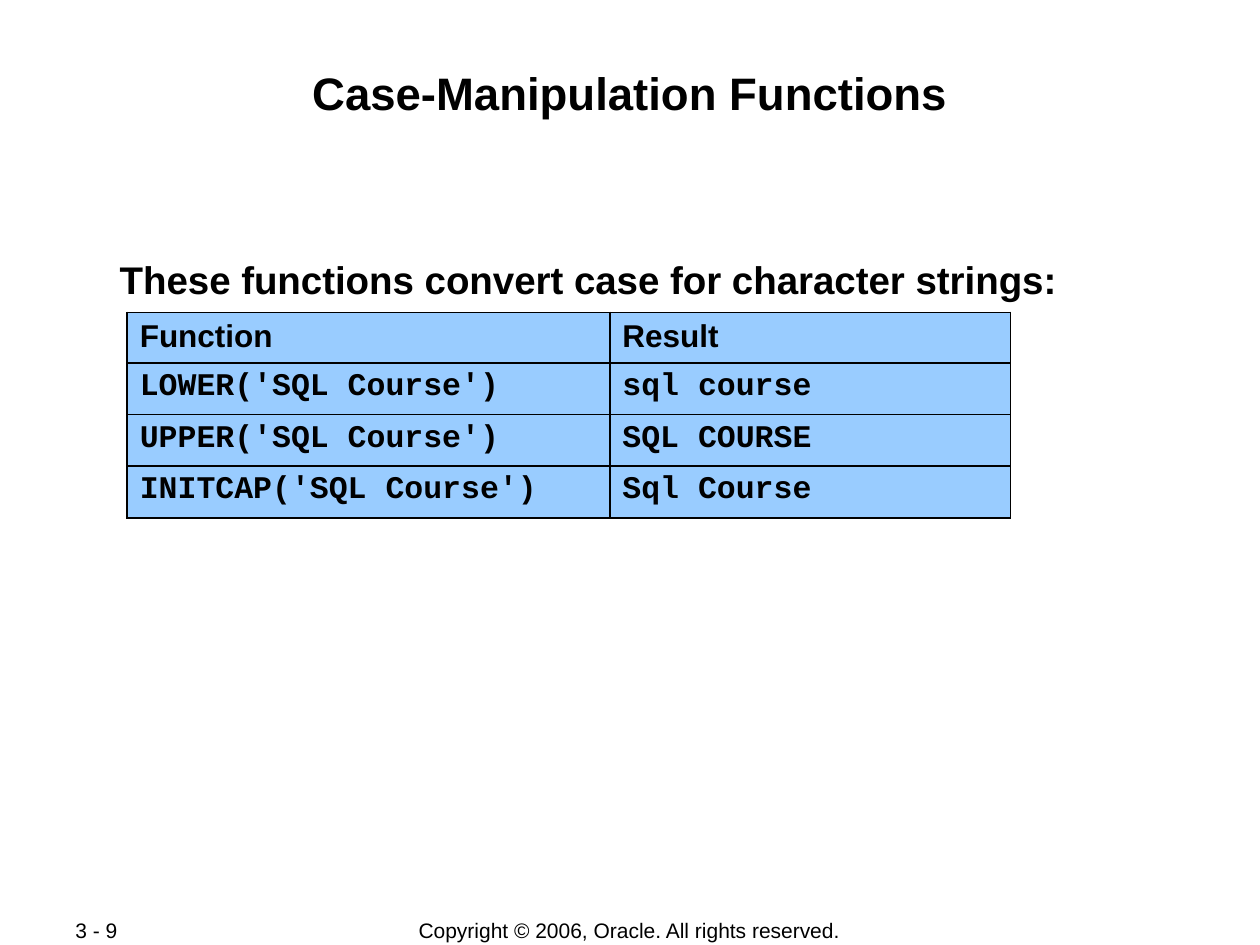
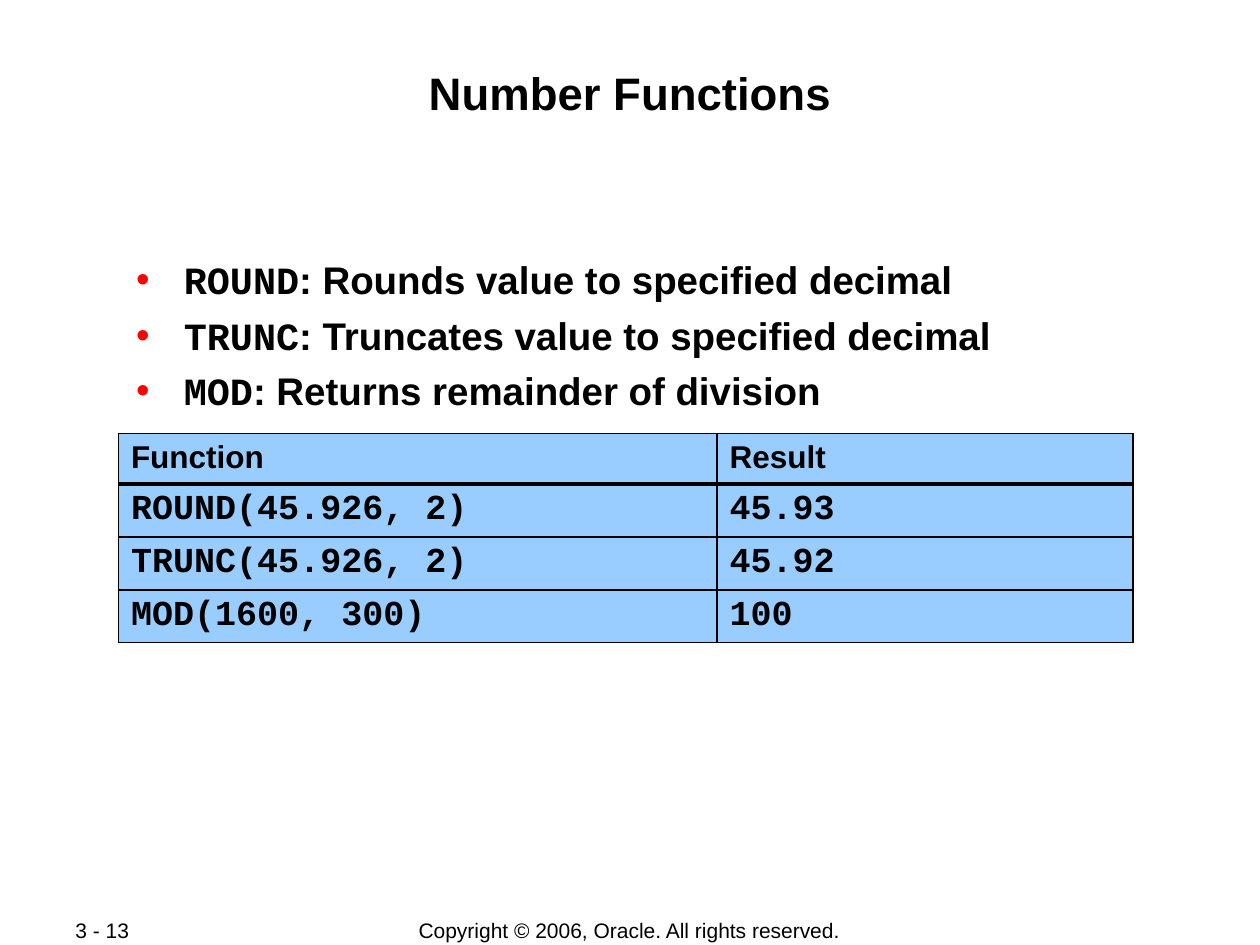
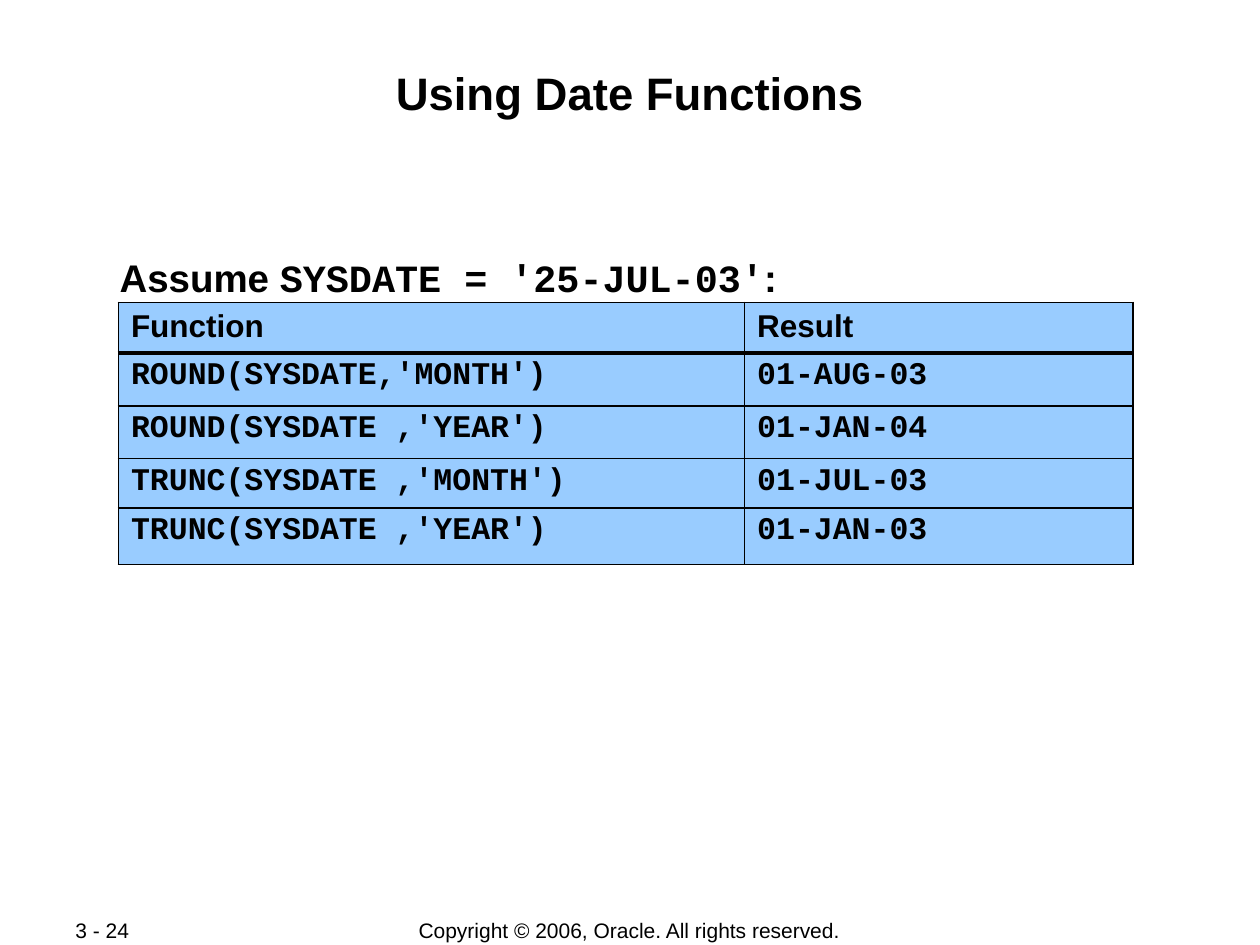
from dataclasses import dataclass

import lxml.etree
import pptx
import pptx.dml.color
import pptx.enum.text
import pptx.oxml.ns
import pptx.presentation
import pptx.slide
import pptx.table
import pptx.text.text
import pptx.util

SLIDE_WIDTH = pptx.util.Inches(10)
SLIDE_HEIGHT = pptx.util.Inches(7.5)
GRID_COLUMNS = 100
GRID_ROWS = 75

BLACK = "000000"
WHITE = "FFFFFF"
RED = "FF0000"
LIGHT_BLUE = "99CCFF"
SANS = "Arial"
MONO = "Courier New"
BORDER_POINTS = 1.08
COPYRIGHT = "Copyright © 2006, Oracle. All rights reserved."

ALIGN = pptx.enum.text.PP_ALIGN
ANCHOR = pptx.enum.text.MSO_ANCHOR


@dataclass(frozen=True)
class Area:
    left: float
    top: float
    width: float
    height: float


@dataclass(frozen=True)
class Run:
    text: str
    font: str = SANS


@dataclass(frozen=True)
class Style:
    size: float
    bold: bool = True
    align: ALIGN = ALIGN.LEFT
    line_spacing: float = 1.0
    space_before: float = 0
    bullet: bool = False


@dataclass(frozen=True)
class FunctionTable:
    left: float
    top: float
    columns: tuple[float, ...]
    rows: tuple[float, ...]
    entries: tuple[tuple[str, str], ...]
    code_size: float = 18
    line_spacing: float = 0.95
    header_rule: float = 2.21


@dataclass(frozen=True)
class Lesson:
    page: int
    title: str
    body_area: Area
    body: tuple[tuple[Run, ...], ...]
    body_style: Style
    table: FunctionTable


TITLE_AREA = Area(6.7, 4.8, 86.6, 9.6)
COPYRIGHT_AREA = Area(27.5, 72.8, 44.9, 2.1)
PAGE_AREA = Area(5, 72.8, 10.6, 2)
TITLE_STYLE = Style(26, align=ALIGN.CENTER)
HEADER_STYLE = Style(18)
COPYRIGHT_STYLE = Style(12, bold=False, align=ALIGN.CENTER)
PAGE_STYLE = Style(12, bold=False, align=ALIGN.JUSTIFY)

LESSONS = (
    Lesson(
        9,
        "Case-Manipulation Functions",
        Area(9.4, 19.9, 86.6, 3.9),
        ((Run("These functions convert case for character strings:"),),),
        Style(22),
        FunctionTable(
            10.1, 24.8, (38.3, 31.8), (4, 4.1, 4.1, 4.1),
            (
                ("LOWER('SQL Course')", "sql course"),
                ("UPPER('SQL Course')", "SQL COURSE"),
                ("INITCAP('SQL Course')", "Sql Course"),
            ),
            header_rule=1.47,
        ),
    ),
    Lesson(
        13,
        "Number Functions",
        Area(9.4, 19.9, 86.6, 12.8),
        (
            (Run("ROUND", MONO), Run(": Rounds value to specified decimal")),
            (Run("TRUNC", MONO), Run(": Truncates value to specified decimal")),
            (Run("MOD", MONO), Run(": Returns remainder of division")),
        ),
        Style(22, space_before=5.5, bullet=True),
        FunctionTable(
            9.4, 34.4, (47.5, 33), (4, 4.2, 4.2, 4.2),
            (
                ("ROUND(45.926, 2)", "45.93"),
                ("TRUNC(45.926, 2)", "45.92"),
                ("MOD(1600, 300)", "100"),
            ),
            code_size=20,
        ),
    ),
    Lesson(
        24,
        "Using Date Functions",
        Area(9.4, 20.2, 86.6, 3.6),
        ((Run("Assume "), Run("SYSDATE = '25-JUL-03'", MONO), Run(":")),),
        Style(22, line_spacing=0.9),
        FunctionTable(
            9.4, 24, (49.7, 30.8), (4, 4.2, 4.2, 3.9, 4.5),
            (
                ("ROUND(SYSDATE,'MONTH')", "01-AUG-03"),
                ("ROUND(SYSDATE ,'YEAR')", "01-JAN-04"),
                ("TRUNC(SYSDATE ,'MONTH')", "01-JUL-03"),
                ("TRUNC(SYSDATE ,'YEAR')", "01-JAN-03"),
            ),
            line_spacing=0.9,
        ),
    ),
)


def across(columns: float) -> int:
    return round(SLIDE_WIDTH * columns / GRID_COLUMNS)


def down(rows: float) -> int:
    return round(SLIDE_HEIGHT * rows / GRID_ROWS)


def color(value: str) -> pptx.dml.color.RGBColor:
    return pptx.dml.color.RGBColor.from_string(value)


def add_element(parent, tag: str, **attributes: str):
    element = lxml.etree.SubElement(parent, pptx.oxml.ns.qn(tag))
    for name, value in attributes.items():
        element.set(name, value)
    return element


def add_bullet(paragraph: pptx.text.text._Paragraph) -> None:
    properties = paragraph._p.get_or_add_pPr()
    properties.set("marL", str(across(5.1)))
    properties.set("indent", str(-across(3.8)))
    add_element(add_element(properties, "a:buClr"), "a:srgbClr", val=RED)
    add_element(properties, "a:buFont", typeface=SANS)
    add_element(properties, "a:buChar", char="•")


def write_paragraph(
    paragraph: pptx.text.text._Paragraph, runs: tuple[Run, ...], style: Style, first: bool = True
) -> None:
    if style.bullet:
        paragraph.level = 1
        add_bullet(paragraph)
    paragraph.alignment = style.align
    paragraph.line_spacing = style.line_spacing
    paragraph.space_before = pptx.util.Pt(0 if first else style.space_before)
    for part in runs:
        run = paragraph.add_run()
        run.text = part.text
        run.font.name = part.font
        run.font.size = pptx.util.Pt(style.size)
        run.font.bold = style.bold
        run.font.color.rgb = color(BLACK)


def add_text(
    slide: pptx.slide.Slide, area: Area, paragraphs: tuple[tuple[Run, ...], ...], style: Style
) -> pptx.text.text.TextFrame:
    shape = slide.shapes.add_textbox(
        across(area.left), down(area.top), across(area.width), down(area.height)
    )
    frame = shape.text_frame
    frame.word_wrap = True
    frame.margin_left = frame.margin_right = frame.margin_bottom = across(0.1)
    frame.margin_top = down(0.4)
    for index, runs in enumerate(paragraphs):
        paragraph = frame.add_paragraph() if index else frame.paragraphs[0]
        write_paragraph(paragraph, runs, style, first=index == 0)
    return frame


def add_footer(slide: pptx.slide.Slide, area: Area, text: str, style: Style) -> None:
    frame = add_text(slide, area, ((Run(text),),), style)
    frame.word_wrap = False
    frame.vertical_anchor = ANCHOR.MIDDLE
    frame.margin_left = frame.margin_right = across(1)
    frame.margin_top = frame.margin_bottom = down(0.5)


def format_cell(cell: pptx.table._Cell, top: float, bottom: float) -> None:
    properties = cell._tc.get_or_add_tcPr()
    widths = {"a:lnL": BORDER_POINTS, "a:lnR": BORDER_POINTS, "a:lnT": top, "a:lnB": bottom}
    for tag, width in widths.items():
        line = add_element(properties, tag, w=str(pptx.util.Pt(width)))
        add_element(add_element(line, "a:solidFill"), "a:srgbClr", val=BLACK)
    cell.fill.solid()
    cell.fill.fore_color.rgb = color(LIGHT_BLUE)
    cell.margin_left = cell.margin_right = across(1)
    cell.margin_top = cell.margin_bottom = down(0.5)


def add_function_table(slide: pptx.slide.Slide, layout: FunctionTable) -> None:
    table = slide.shapes.add_table(
        len(layout.rows), len(layout.columns), across(layout.left), down(layout.top),
        across(sum(layout.columns)), down(sum(layout.rows)),
    ).table
    table.first_row = table.horz_banding = False
    for column, width in zip(table.columns, layout.columns):
        column.width = across(width)
    for row, height in zip(table.rows, layout.rows):
        row.height = down(height)
    code_style = Style(layout.code_size, line_spacing=layout.line_spacing)
    for row_index, texts in enumerate((("Function", "Result"), *layout.entries)):
        is_header = row_index == 0
        style, font = (HEADER_STYLE, SANS) if is_header else (code_style, MONO)
        top = layout.header_rule if row_index == 1 else BORDER_POINTS
        bottom = layout.header_rule if is_header else BORDER_POINTS
        for column_index, text in enumerate(texts):
            cell = table.cell(row_index, column_index)
            format_cell(cell, top, bottom)
            write_paragraph(cell.text_frame.paragraphs[0], (Run(text, font),), style)


def add_lesson(presentation: pptx.presentation.Presentation, lesson: Lesson) -> None:
    slide = presentation.slides.add_slide(presentation.slide_layouts[6])
    slide.background.fill.solid()
    slide.background.fill.fore_color.rgb = color(WHITE)
    add_footer(slide, COPYRIGHT_AREA, COPYRIGHT, COPYRIGHT_STYLE)
    add_footer(slide, PAGE_AREA, f"3 - {lesson.page}", PAGE_STYLE)
    add_text(slide, TITLE_AREA, ((Run(lesson.title),),), TITLE_STYLE)
    add_text(slide, lesson.body_area, lesson.body, lesson.body_style)
    add_function_table(slide, lesson.table)


def main() -> None:
    presentation = pptx.Presentation()
    presentation.slide_width = SLIDE_WIDTH
    presentation.slide_height = SLIDE_HEIGHT
    for lesson in LESSONS:
        add_lesson(presentation, lesson)
    presentation.save("out.pptx")


if __name__ == "__main__":
    main()
